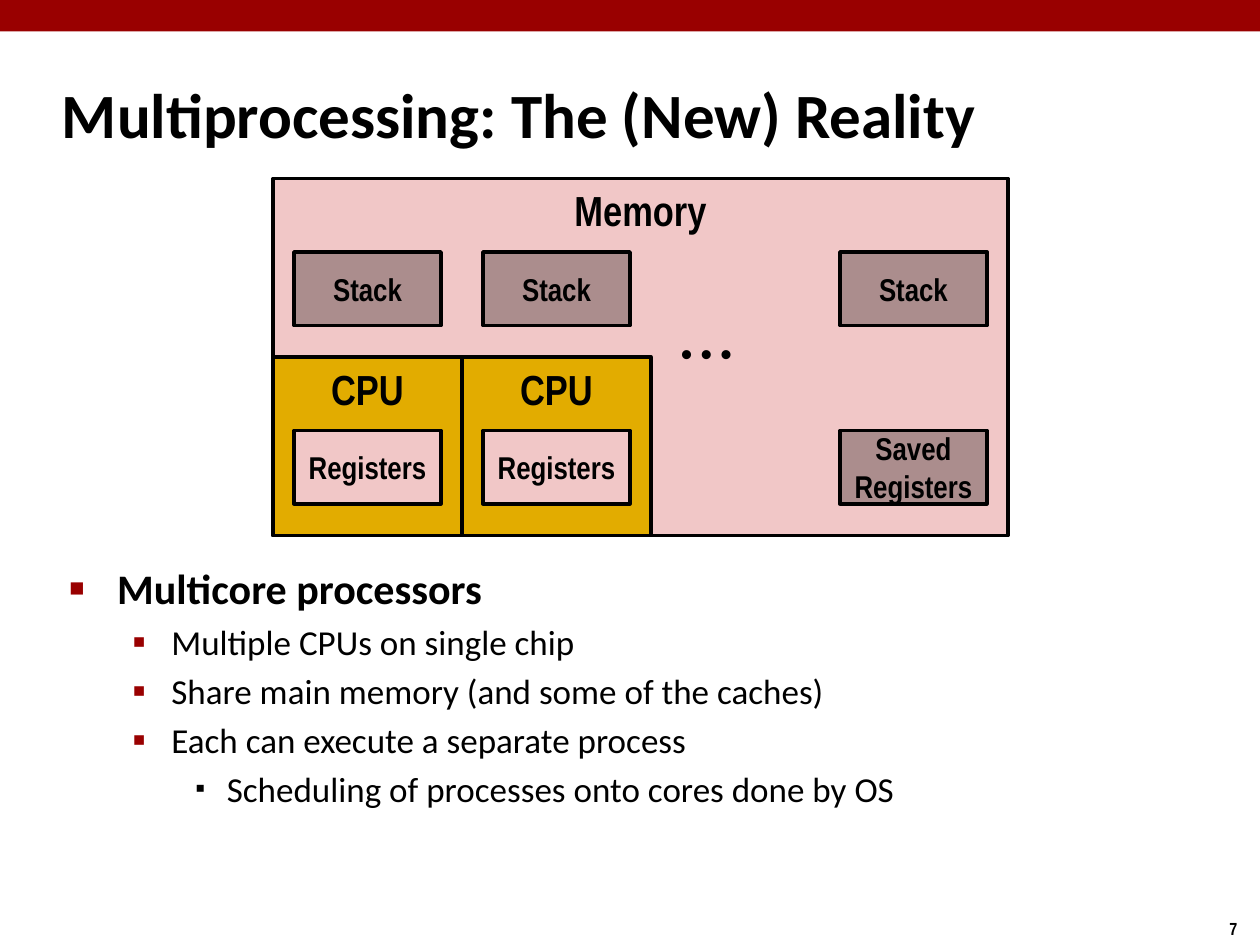
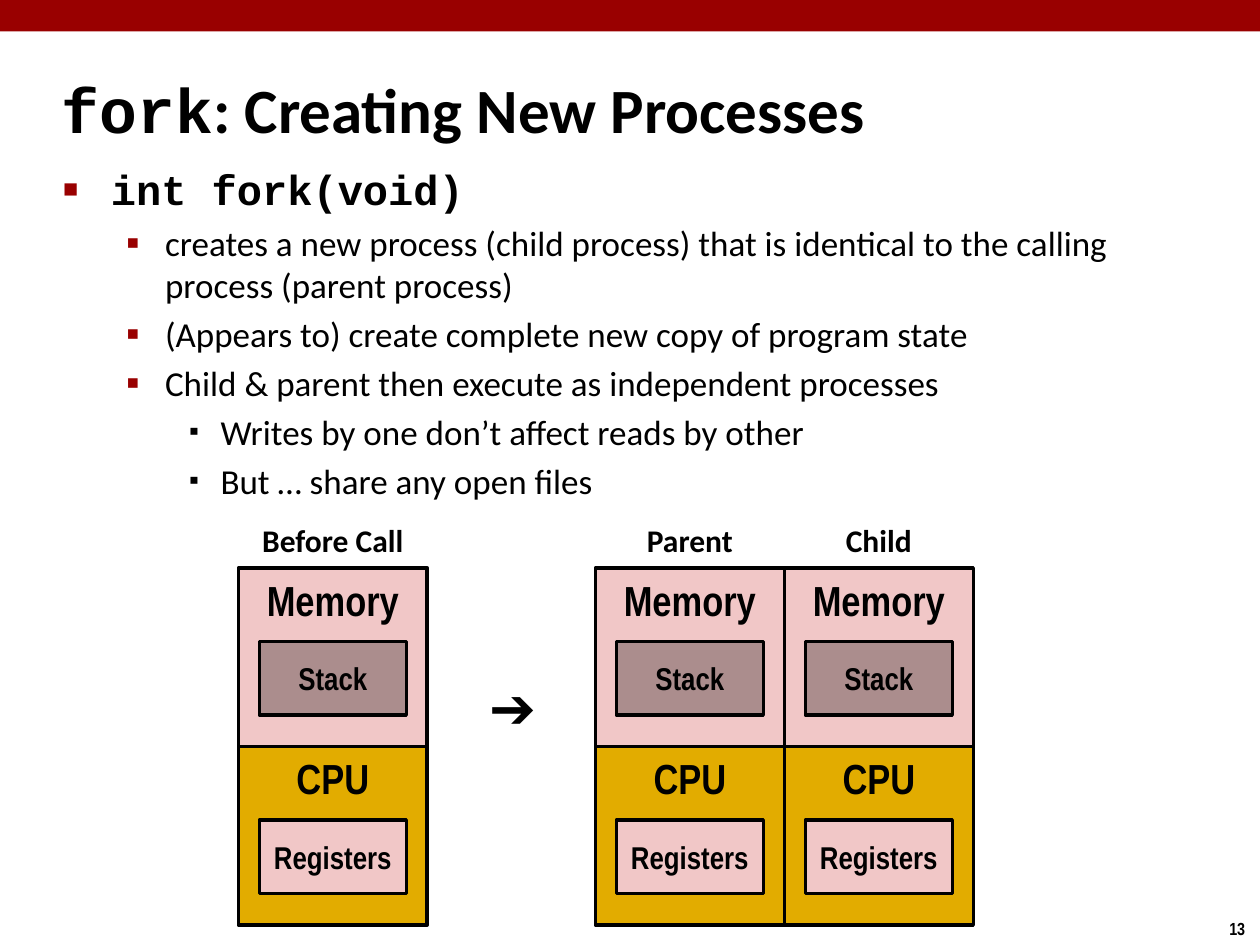
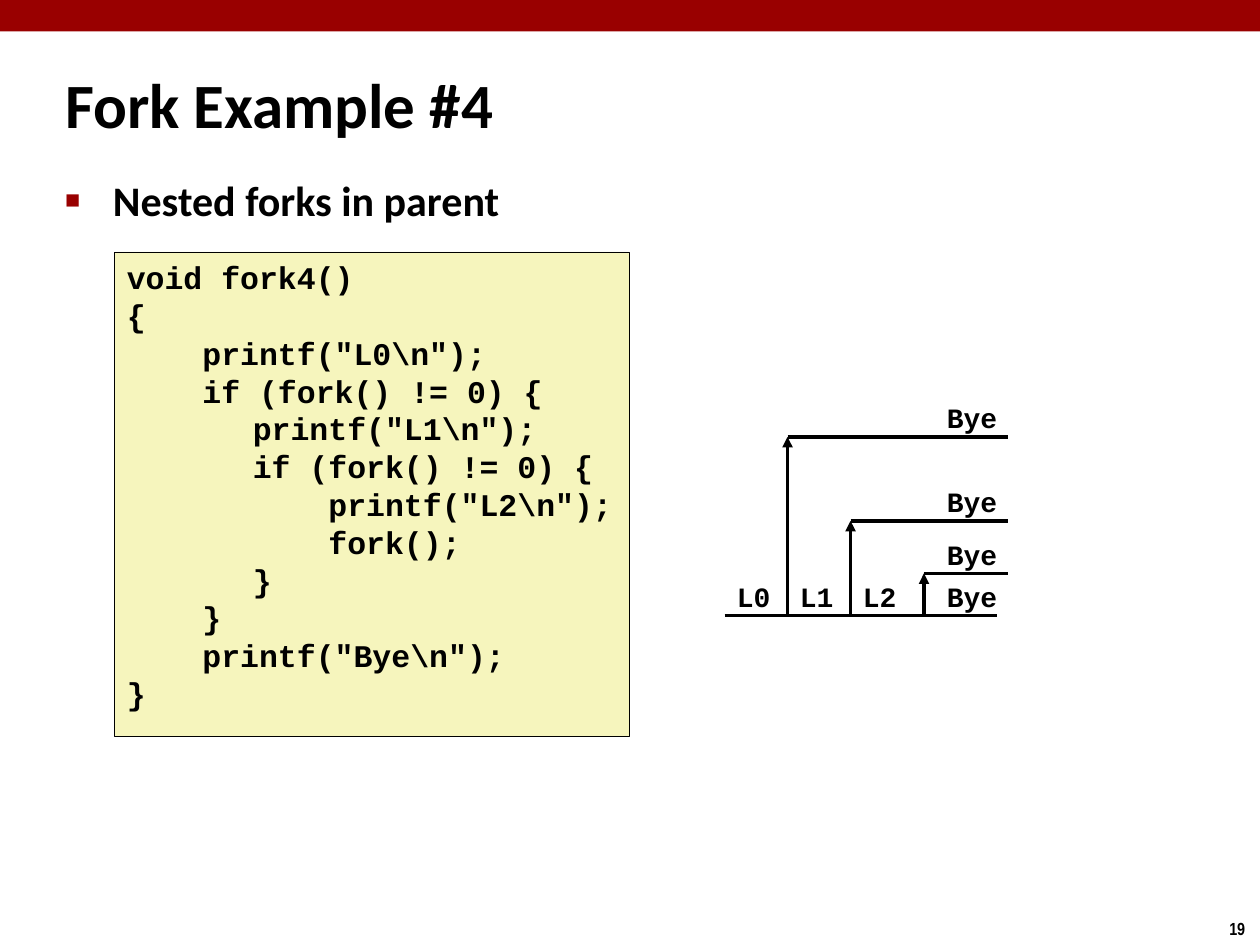
from itertools import pairwise

from lxml.etree import SubElement
from pptx import Presentation
from pptx.dml.color import RGBColor
from pptx.enum.shapes import MSO_CONNECTOR, MSO_SHAPE
from pptx.enum.text import MSO_ANCHOR, MSO_AUTO_SIZE, PP_ALIGN
from pptx.oxml.ns import qn
from pptx.util import Inches, Pt

COLUMNS, ROWS = 120, 90
UNIT = Inches(10) / COLUMNS

RED, BLACK = "990000", "000000"
PINK, MAUVE, GOLD, CREAM = "F1C7C7", "AB8D8D", "E2AC00", "F6F5BD"
SANS, NARROW, CODE, SYMBOL = "Calibri", "Arial Narrow", "Courier New", "Arial"

CELL_WIDTH, CELL_HEIGHT = 18, 17
BULLETS = [
    dict(margin=0.38, hang=0.38, mark="■", percent=60, color=RED, size=24),
    dict(margin=0.81, hang=0.31, mark="▪", percent=110, color=RED, size=20),
    dict(margin=1.25, hang=0.25, mark="▪", percent=80, color=BLACK, size=20),
]

FORK4 = r"""void fork4()
{
    printf("L0\n");
    if (fork() != 0) {
<tab>printf("L1\n");
<tab>if (fork() != 0) {
<tab>    printf("L2\n");
<tab>    fork();
<tab>}
    }
    printf("Bye\n");
}""".replace("<tab>", "\t")


def rgb(value):
    """Turn a hex string into a colour."""
    return RGBColor.from_string(value)


def grid(*lengths):
    """Turn grid columns and rows into slide lengths."""
    return [round(length * UNIT) for length in lengths]


def style(font, name, size, bold=True):
    """Set the face, size and weight of black text."""
    font.name, font.size, font.bold = name, Pt(size), bold
    font.color.rgb = rgb(BLACK)


def write(shape, text, name, size, align=PP_ALIGN.LEFT, anchor=MSO_ANCHOR.TOP, wrap=True):
    """Fill a shape with evenly formatted text."""
    frame = shape.text_frame
    frame.text = text
    frame.word_wrap, frame.vertical_anchor = wrap, anchor
    for paragraph in frame.paragraphs:
        paragraph.alignment = align
        for run in paragraph.runs:
            style(run.font, name, size)


def label(slide, box, text, name, size, align=PP_ALIGN.LEFT, wrap=True):
    """Add free-standing text."""
    write(slide.shapes.add_textbox(*grid(*box)), text, name, size, align, wrap=wrap)


def panel(slide, box, fill, line_width=0):
    """Add a flat rectangle, outlined in black if a line width is given."""
    rectangle = slide.shapes.add_shape(MSO_SHAPE.RECTANGLE, *grid(*box))
    rectangle.shadow.inherit = False
    rectangle.fill.solid()
    rectangle.fill.fore_color.rgb = rgb(fill)
    if line_width:
        rectangle.line.color.rgb = rgb(BLACK)
        rectangle.line.width = Pt(line_width)
    else:
        rectangle.line.fill.background()
    return rectangle


def line(slide, start, end, arrow=False):
    """Draw a straight black line, with an arrowhead on request."""
    stroke = slide.shapes.add_connector(MSO_CONNECTOR.STRAIGHT, *grid(*start, *end))
    stroke.line.color.rgb = rgb(BLACK)
    stroke.line.width = Pt(2)
    if arrow:
        SubElement(stroke.line._get_or_add_ln(), qn("a:tailEnd"), type="triangle")
    SubElement(stroke._element.spPr, qn("a:effectLst"))


def place(holder, box):
    """Move a placeholder and stop its text from shrinking."""
    holder.left, holder.top, holder.width, holder.height = grid(*box)
    holder.text_frame.auto_size = MSO_AUTO_SIZE.NONE


def start_slide(deck, number, box, *title_parts):
    """Add a slide with its band, page number and title."""
    slide = deck.slides.add_slide(deck.slide_layouts[1])
    panel(slide, (0, 0, COLUMNS, 3), RED)
    label(slide, (115.9, 86.8, 4.1, 3.2), str(number), NARROW, 10)
    title = slide.shapes.title
    place(title, box)
    title.text_frame.vertical_anchor = MSO_ANCHOR.MIDDLE
    paragraph = title.text_frame.paragraphs[0]
    paragraph.alignment = PP_ALIGN.LEFT
    for text, name in title_parts:
        run = paragraph.add_run()
        run.text = text
        style(run.font, name, 36)
    return slide


def add_bullet(paragraph, margin, hang, mark, percent, color):
    """Give a paragraph its hanging indent and bullet mark."""
    properties = paragraph._p.get_or_add_pPr()
    properties.set("marL", str(Inches(margin)))
    properties.set("indent", str(-Inches(hang)))
    tint = SubElement(properties, qn("a:buClr"))
    SubElement(tint, qn("a:srgbClr"), val=color)
    SubElement(properties, qn("a:buSzPct"), val=str(percent * 1000))
    SubElement(properties, qn("a:buFont"), typeface=SYMBOL)
    SubElement(properties, qn("a:buChar"), char=mark)


def bullet_list(slide, box, items, heading_font=SANS):
    """Fill the body placeholder with levelled points."""
    body = slide.placeholders[1]
    place(body, box)
    frame = body.text_frame
    for index, (level, text) in enumerate(items):
        paragraph = frame.add_paragraph() if index else frame.paragraphs[0]
        paragraph.text = text
        paragraph.level = level
        look = dict(BULLETS[level])
        size = look.pop("size")
        add_bullet(paragraph, **look)
        name = SANS if level else heading_font
        style(paragraph.runs[0].font, name, size, bold=level == 0)
    frame.paragraphs[0].space_before = Pt(0)


def unit_block(slide, left, top, text, fill, columns=1, rows=1):
    """Draw a memory or CPU block headed by its name."""
    box = (left, top, columns * CELL_WIDTH, rows * CELL_HEIGHT)
    write(panel(slide, box, fill, 2), text, NARROW, 24, PP_ALIGN.CENTER)


def store(slide, left, top, text, fill):
    """Draw a stack or register store inside the cell at the given corner."""
    block = panel(slide, (left + 2, top + 7, 14, 7), fill, 2)
    write(block, text, NARROW, 18, PP_ALIGN.CENTER, MSO_ANCHOR.MIDDLE)


def cpu(slide, left, top):
    """Draw a CPU with its registers."""
    unit_block(slide, left, top, "CPU", GOLD)
    store(slide, left, top, "Registers", PINK)


def multicore_diagram(slide, left, top):
    """Draw shared memory with two CPUs and a waiting process."""
    cpu_top = top + CELL_HEIGHT
    waiting = left + 52
    unit_block(slide, left, top, "Memory", PINK, 70 / CELL_WIDTH, 2)
    for core_left in (left, left + CELL_WIDTH):
        store(slide, core_left, top, "Stack", MAUVE)
        cpu(slide, core_left, cpu_top)
    store(slide, waiting, top, "Stack", MAUVE)
    store(slide, waiting, cpu_top, "Saved Registers", MAUVE)
    label(slide, (left + 37.7, top + 14.2, 12.6, 4.8), "• • •", SYMBOL, 18)


def process(slide, left, top, caption):
    """Draw one captioned process as memory above a CPU."""
    label(slide, (left, top - 5.1, CELL_WIDTH, 4.8), caption, SANS, 18, PP_ALIGN.CENTER)
    unit_block(slide, left, top, "Memory", PINK)
    store(slide, left, top, "Stack", MAUVE)
    cpu(slide, left, top + CELL_HEIGHT)


def fork_diagram(slide, left, top):
    """Draw a process before the call and the pair after it."""
    for offset, caption in ((0, "Before Call"), (34, "Parent"), (52, "Child")):
        process(slide, left + offset, top, caption)
    label(slide, (left + 22.7, top + 9.4, 8.2, 7.6), "➔", SYMBOL, 32)


def code_listing(slide, box, source):
    """Show source code on a cream panel with a tab stop at one inch."""
    listing = panel(slide, box, CREAM, 0.25)
    write(listing, source, CODE, 18)
    for paragraph in listing.text_frame.paragraphs:
        stops = SubElement(paragraph._p.get_or_add_pPr(), qn("a:tabLst"))
        SubElement(stops, qn("a:tab"), pos=str(Inches(1)), algn="l")


def process_graph(slide, left, base):
    """Draw the parent along the base and a branch up for each fork."""
    forks = {6: 17, 12: 9, 19: 4}
    label_rise, label_height = 4, 4.4
    for start, end in pairwise([0, *forks, 26]):
        line(slide, (left + start, base), (left + end, base))
    for column, rise in forks.items():
        tip = (left + column, base - rise)
        line(slide, (left + column, base), tip, arrow=True)
        line(slide, tip, (left + 27, base - rise))
    for index in range(3):
        box = (left + 6 * index, base - label_rise, 5.6, label_height)
        label(slide, box, f"L{index}", CODE, 16, wrap=False)
    for rise in (0, *forks.values()):
        box = (left + 20, base - rise - label_rise, 7.2, label_height)
        label(slide, box, "Bye", CODE, 16, wrap=False)


def multiprocessing_slide(deck):
    """Build the slide on multicore processors."""
    slide = start_slide(deck, 7, (4.7, 5.8, 111.4, 10),
                        ("Multiprocessing: The (New) Reality", SANS))
    bullet_list(slide, (5.4, 53, 103.7, 30.1), [
        (0, "Multicore processors"),
        (1, "Multiple CPUs on single chip"),
        (1, "Share main memory (and some of the caches)"),
        (1, "Each can execute a separate process"),
        (2, "Scheduling of processes onto cores done by OS"),
    ])
    multicore_diagram(slide, 26, 17)


def fork_slide(deck):
    """Build the slide that introduces fork."""
    slide = start_slide(deck, 13, (4.7, 6.5, 94, 7.6),
                        ("fork", CODE), (": Creating New Processes", SANS))
    bullet_list(slide, (4.8, 15, 105.2, 71.2), [
        (0, "int fork(void)"),
        (1, "creates a new process (child process) that is identical "
            "to the calling process (parent process)"),
        (1, "(Appears to) create complete new copy of program state"),
        (1, "Child & parent then execute as independent processes"),
        (2, "Writes by one don’t affect reads by other"),
        (2, "But … share any open files"),
    ], CODE)
    fork_diagram(slide, 22.7, 54.1)


def nested_forks_slide(deck):
    """Build the slide with code and its process graph."""
    slide = start_slide(deck, 19, (5, 6, 66.8, 7.6), ("Fork Example #4", SANS))
    bullet_list(slide, (5, 16, 103.7, 10.1), [(0, "Nested forks in parent")])
    code_listing(slide, (10.9, 24, 49, 46.1), FORK4)
    process_graph(slide, 69, 58.6)


def main():
    """Build and save the deck."""
    deck = Presentation()
    deck.slide_width, deck.slide_height = grid(COLUMNS, ROWS)
    multiprocessing_slide(deck)
    fork_slide(deck)
    nested_forks_slide(deck)
    deck.save("out.pptx")


if __name__ == "__main__":
    main()
